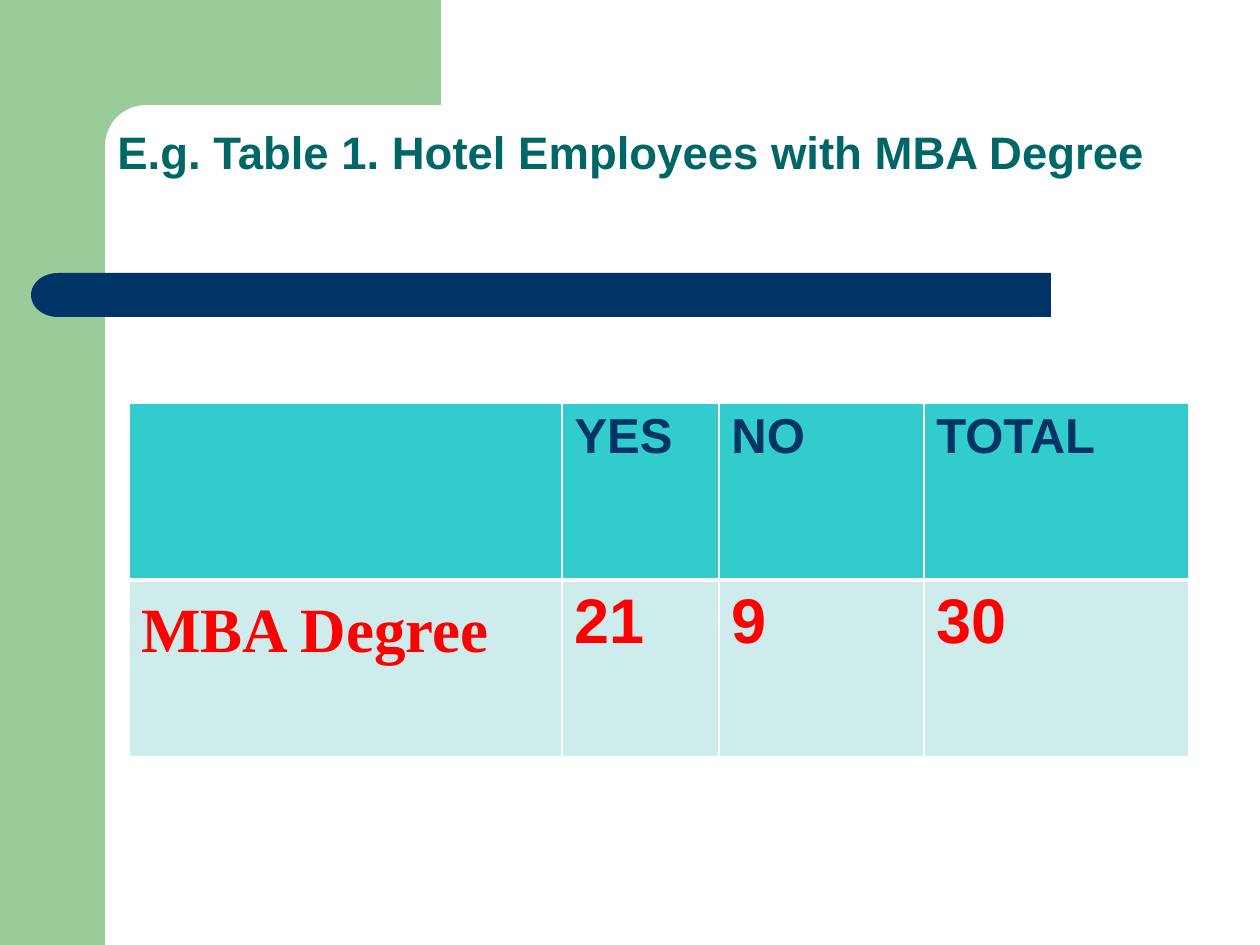
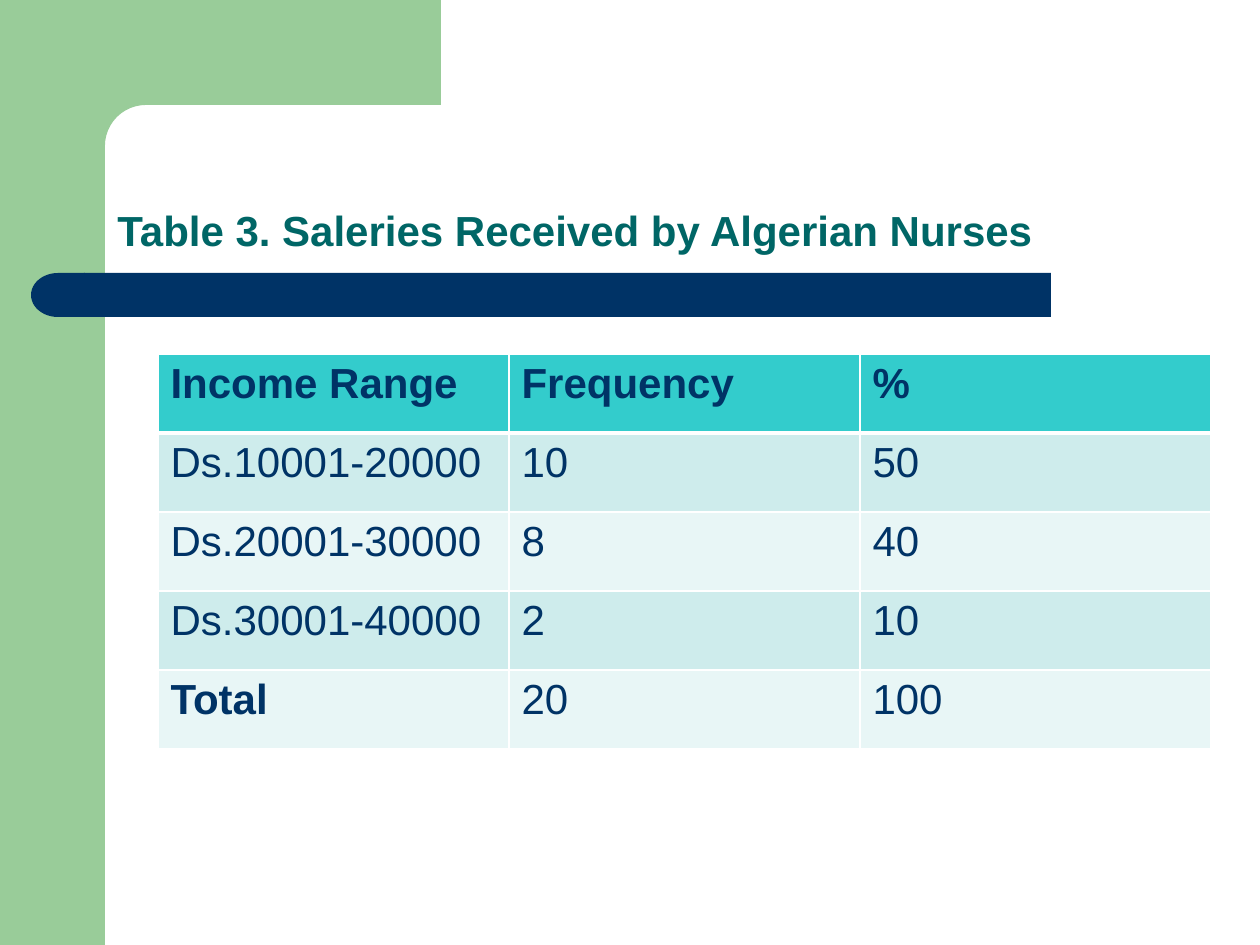
from dataclasses import dataclass
from math import cos, pi, sin

from lxml.etree import SubElement
from pptx import Presentation
from pptx.dml.color import RGBColor
from pptx.enum.shapes import MSO_SHAPE
from pptx.enum.text import MSO_ANCHOR, PP_ALIGN
from pptx.oxml.ns import qn
from pptx.util import Emu, Pt


@dataclass(frozen=True)
class Theme:
    green: str = "99CC99"
    navy: str = "003366"
    title: str = "006666"
    header: str = "33CCCC"
    stripes: tuple = ("CEECEC", "E8F6F6")
    accent: str = "FF0000"
    border: str = "FFFFFF"
    sans: str = "Arial"
    serif: str = "Times New Roman"
    thin: int = 1
    thick: int = 3


THEME = Theme()
SLIDE_SIZE = (1260, 945)
TITLE_BOX = (105, 105, 1092, 157)
SIDE_BAR = (0, 0, 105, 945)
BAR = (84, 273, 967, 44)
BAR_CAP = (31, 273, 54, 44)
TOP_BLOCK = dict(left=63, right=441, edge=105, bottom=161, radius=41)

SLIDES = [
    dict(
        title="E.g. Table 1. Hotel Employees with MBA Degree",
        title_size=26,
        title_lift=83,
        origin=(129, 403),
        columns=[433, 157, 205, 265],
        row_height=177,
        rows=[["", "YES", "NO", "TOTAL"], ["MBA Degree", "21", "9", "30"]],
        header_size=28,
        body=dict(size=36, color=THEME.accent, bold=True),
        special={"MBA Degree": dict(font=THEME.serif, align=PP_ALIGN.JUSTIFY, spacing=1.15)},
    ),
    dict(
        title="Table 3. Saleries Received by Algerian Nurses",
        title_size=24,
        title_lift=6,
        origin=(158, 354),
        columns=[351] * 3,
        row_height=79,
        rows=[
            ["Income Range", "Frequency", "%"],
            ["Ds.10001-20000", "10", "50"],
            ["Ds.20001-30000", "8", "40"],
            ["Ds.30001-40000", "2", "10"],
            ["Total", "20", "100"],
        ],
        header_size=24,
        body=dict(size=24, color=THEME.navy, bold=False),
        special={"Total": dict(bold=True)},
    ),
]


def px(length):
    return Emu(round(length * 914400 / 126))


def place(box):
    return [px(length) for length in box]


def paint(shape, color):
    shape.shadow.inherit = False
    shape.fill.solid()
    shape.fill.fore_color.rgb = RGBColor.from_string(color)
    shape.line.fill.background()


def write(frame, text, size, color, bold, font=THEME.sans, align=None, spacing=None):
    paragraph = frame.paragraphs[0]
    paragraph.alignment = align
    paragraph.line_spacing = spacing
    run = paragraph.add_run()
    run.text = text
    run.font.name = font
    run.font.size = Pt(size)
    run.font.bold = bold
    run.font.color.rgb = RGBColor.from_string(color)


def add_block(slide, kind, box, color):
    block = slide.shapes.add_shape(kind, *place(box))
    paint(block, color)
    return block


def add_top_block(slide, left, right, edge, bottom, radius):
    center = edge + radius
    angles = [pi / 2 * step / 12 for step in range(13)]
    corner = [(center - radius * sin(a), center - radius * cos(a)) for a in angles]
    outline = [(right, 0), (right, edge), *corner, (edge, bottom), (left, bottom), (left, 0)]
    points = [(px(x), px(y)) for x, y in outline]
    builder = slide.shapes.build_freeform(*points[0])
    builder.add_line_segments(points[1:], close=True)
    paint(builder.convert_to_shape(), THEME.green)


def add_frame(slide):
    add_block(slide, MSO_SHAPE.RECTANGLE, SIDE_BAR, THEME.green)
    add_top_block(slide, **TOP_BLOCK)
    add_block(slide, MSO_SHAPE.RECTANGLE, BAR, THEME.navy)
    add_block(slide, MSO_SHAPE.FLOWCHART_DELAY, BAR_CAP, THEME.navy).rotation = 180


def add_title(slide, text, size, lift):
    frame = slide.shapes.add_textbox(*place(TITLE_BOX)).text_frame
    frame.word_wrap = True
    frame.vertical_anchor = MSO_ANCHOR.BOTTOM
    frame.margin_bottom = px(lift)
    write(frame, text, size, THEME.title, True, spacing=0.9)


def add_borders(cell, row):
    top = THEME.thick if row == 1 else THEME.thin
    bottom = THEME.thick if row == 0 else THEME.thin
    widths = dict(lnL=THEME.thin, lnR=THEME.thin, lnT=top, lnB=bottom)
    properties = cell._tc.get_or_add_tcPr()
    for side, width in widths.items():
        line = SubElement(properties, qn(f"a:{side}"), w=str(Pt(width)))
        fill = SubElement(line, qn("a:solidFill"))
        SubElement(fill, qn("a:srgbClr"), val=THEME.border)


def add_data_table(slide, content):
    rows, columns = content["rows"], content["columns"]
    size = (sum(columns), content["row_height"] * len(rows))
    table = slide.shapes.add_table(
        len(rows), len(columns), *place(content["origin"] + size)
    ).table
    for column, width in zip(table.columns, columns):
        column.width = px(width)
    header = dict(size=content["header_size"], color=THEME.navy, bold=True)
    for r, texts in enumerate(rows):
        table.rows[r].height = px(content["row_height"])
        fill = THEME.stripes[(r - 1) % 2] if r else THEME.header
        style = content["body"] if r else header
        for c, text in enumerate(texts):
            cell = table.cell(r, c)
            add_borders(cell, r)
            cell.fill.solid()
            cell.fill.fore_color.rgb = RGBColor.from_string(fill)
            if text:
                write(cell.text_frame, text, **{**style, **content["special"].get(text, {})})


def main():
    deck = Presentation()
    deck.slide_width, deck.slide_height = place(SLIDE_SIZE)
    for content in SLIDES:
        slide = deck.slides.add_slide(deck.slide_layouts[6])
        add_frame(slide)
        add_title(slide, content["title"], content["title_size"], content["title_lift"])
        add_data_table(slide, content)
    deck.save("out.pptx")


if __name__ == "__main__":
    main()
